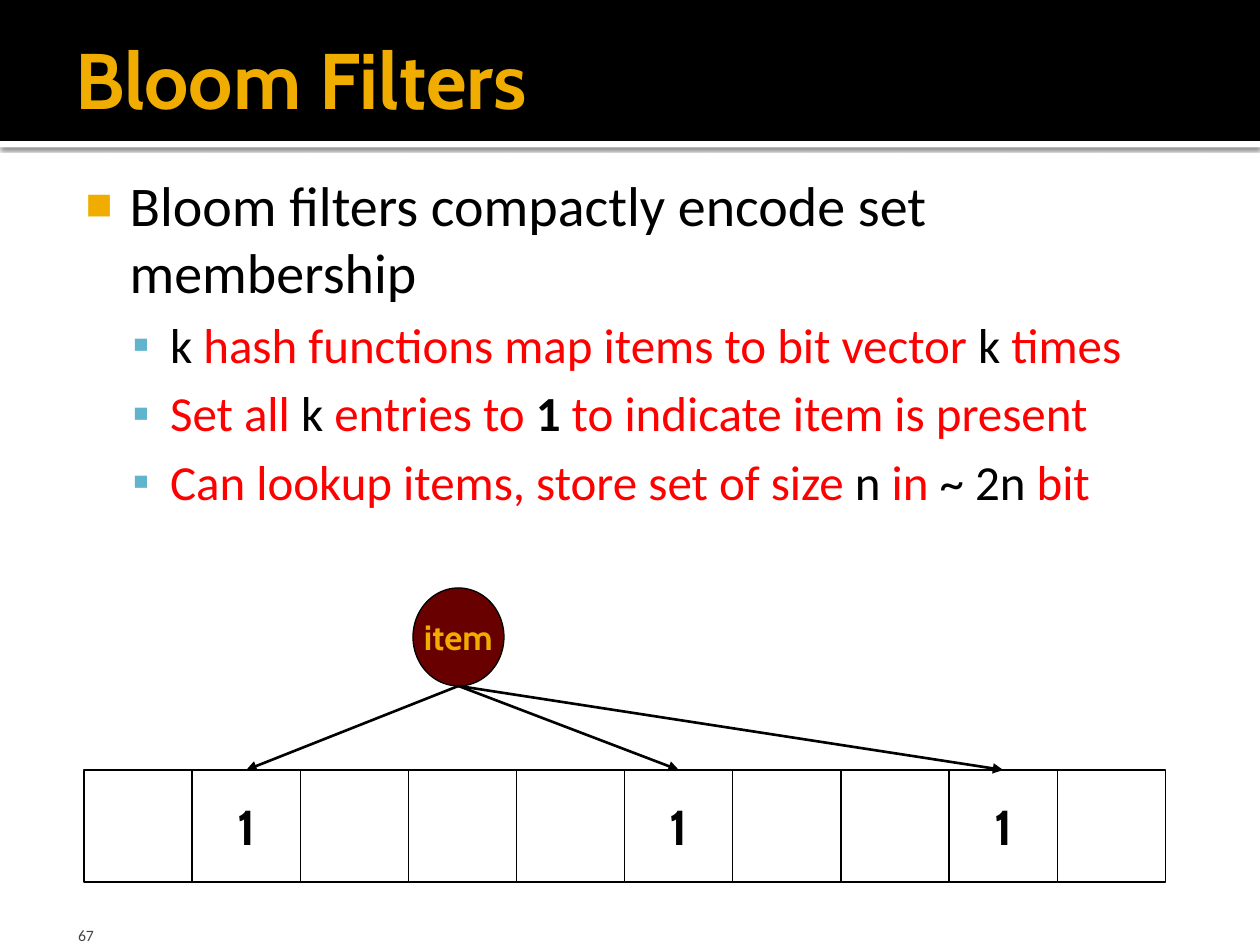
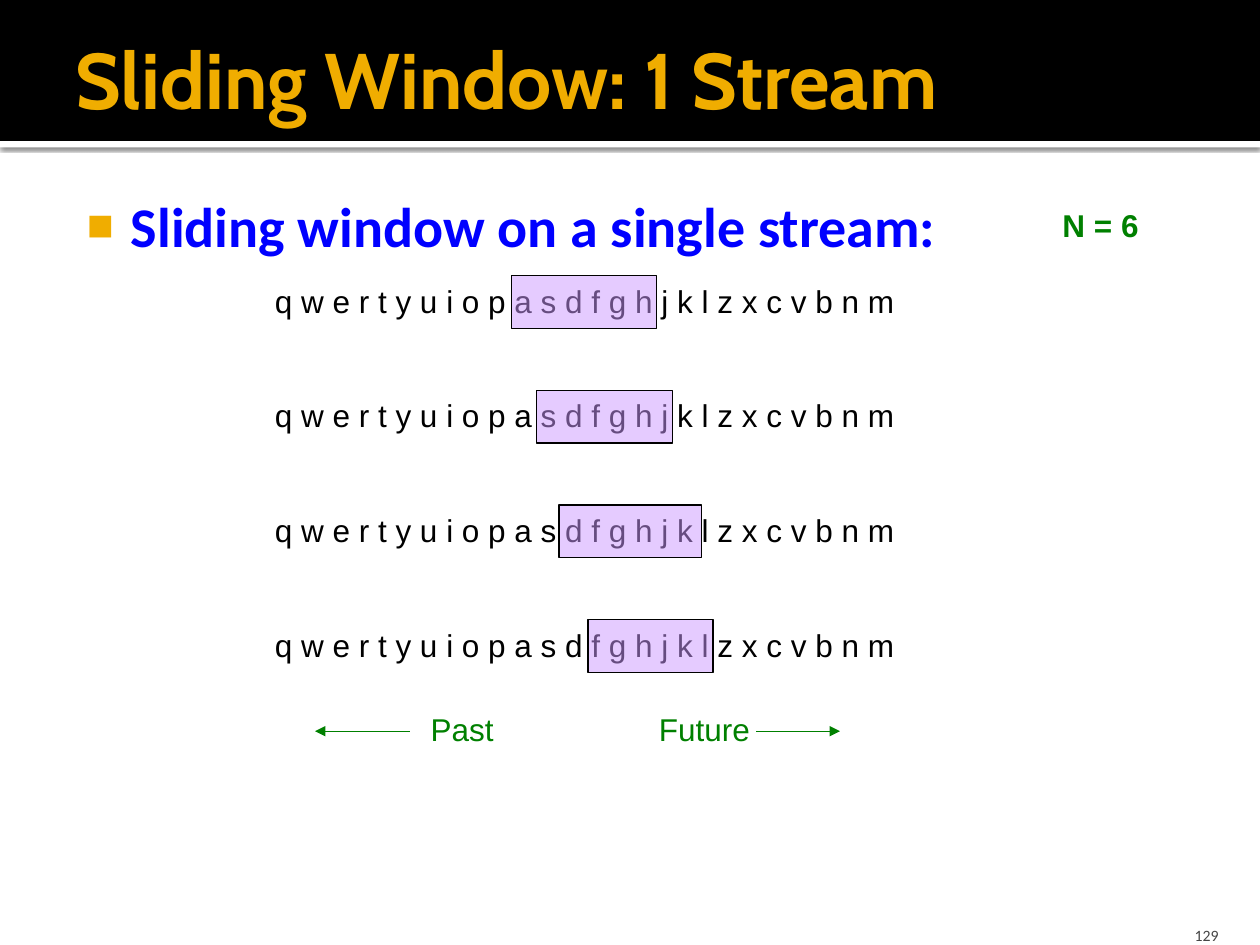
from lxml import etree
from pptx import Presentation
from pptx import util as u
from pptx.dml.color import RGBColor
from pptx.enum import shapes, text
from pptx.oxml import ns

Pt = u.Pt
W, H = 720, 540
BLACK = RGBColor(0, 0, 0)
WHITE = RGBColor(255, 255, 255)
GOLD = RGBColor(0xF0, 0xAD, 0x00)
TEAL = RGBColor(0x60, 0xB5, 0xCC)
RED = RGBColor(255, 0, 0)
BLUE = RGBColor(0, 0, 255)
GREEN = RGBColor(0, 0x80, 0)
MAROON = RGBColor(0x68, 0, 0)
LILAC = RGBColor(0xCC, 0x99, 0xFF)
GREY = RGBColor(0x45, 0x45, 0x45)

TITLE = dict(name="Cabin", size=Pt(45), bold=True, color=GOLD)
FOOTER = dict(name="Calibri", size=Pt(9), color=GREY)
BODY = dict(name="Calibri", size=Pt(32), color=BLACK)
SUB = dict(name="Calibri", size=Pt(28), color=RED)
TERM = dict(SUB, color=BLACK)
ITEM = dict(name="Cabin", size=Pt(20), bold=True, color=GOLD)
BIT = dict(name="Cabin", size=Pt(28), bold=True, color=BLACK)
STREAM = dict(name="Arial", size=Pt(18), color=BLACK)
NOTE = dict(STREAM, color=GREEN)

# left indent, hanging indent, space before, bullet, bullet colour, bullet size
LEVELS = [(34.5, -25.2, 0, "■", GOLD, 80), (57.6, -21.6, 5.6, "▪", TEAL, 100)]
LETTERS = " ".join("qwertyuiopasdfghjklzxcvbnm")


def sub(parent, tag, **attrs):
    el = etree.SubElement(parent, ns.qn(tag))
    for key, value in attrs.items():
        el.set(key, str(value))
    return el


def add_run(p, words, style):
    r = p.add_run()
    r.text = words
    for key, value in style.items():
        if key == "color":
            r.font.color.rgb = value
        else:
            setattr(r.font, key, value)


def format_frame(tf, insets=(7.2, 3.6, 7.2, 3.6), **formats):
    for side, inset in zip(("left", "top", "right", "bottom"), insets):
        setattr(tf, "margin_" + side, Pt(inset))
    for key, value in formats.items():
        setattr(tf, key, value)


def add_text(s, box, words, style, align=None, **frame):
    sp = s.shapes.add_textbox(*map(Pt, box))
    tf = sp.text_frame
    format_frame(tf, **frame)
    p = tf.paragraphs[0]
    if align is not None:
        p.alignment = align
    if words:
        add_run(p, words, style)
    return tf


def add_box(s, kind, box, fill=None, line=BLACK, label="", style=None):
    sp = s.shapes.add_shape(kind, *map(Pt, box))
    sp.shadow.inherit = False
    if fill is None:
        sp.fill.background()
    else:
        sp.fill.solid()
        sp.fill.fore_color.rgb = fill
    if line is None:
        sp.line.fill.background()
    else:
        sp.line.color.rgb = line
        sp.line.width = Pt(0.75)
    if label:
        tf = sp.text_frame
        format_frame(tf, word_wrap=False, vertical_anchor=text.MSO_ANCHOR.MIDDLE)
        tf.paragraphs[0].alignment = text.PP_ALIGN.CENTER
        add_run(tf.paragraphs[0], label, style)
    return sp


def add_arrow(s, start, end, color, width):
    c = s.shapes.add_connector(shapes.MSO_CONNECTOR.STRAIGHT, *map(Pt, start + end))
    c.line.color.rgb = color
    c.line.width = Pt(width)
    sub(c.line._get_or_add_ln(), "a:tailEnd", type="triangle")
    sub(c._element.spPr, "a:effectLst")
    return c


def add_header(s, title):
    """Black band with a shadowed white strip under it, and the title."""
    strip = add_box(s, shapes.MSO_SHAPE.RECTANGLE, (0, 80.6, W, 3.6), WHITE, None)
    effects = strip._element.spPr.find(ns.qn("a:effectLst"))
    shadow = sub(effects, "a:outerShdw", blurRad=Pt(2.5), dist=Pt(0.8),
                 dir=5400000, algn="tl", rotWithShape=0)
    sub(sub(shadow, "a:srgbClr", val=BLACK), "a:alpha", val=60000)
    add_box(s, shapes.MSO_SHAPE.RECTANGLE, (0, 0, W, 80.6), BLACK, None)
    add_text(s, (36, 5.8, 648, 77.8), title, TITLE, insets=(7.2, 3.6, 3.6, 3.6),
             word_wrap=True, vertical_anchor=text.MSO_ANCHOR.MIDDLE)


def add_number(s, box, number, align, insets):
    add_text(s, box, number, FOOTER, align, insets=insets, word_wrap=True,
             vertical_anchor=text.MSO_ANCHOR.BOTTOM)


def add_bullets(s, box, items):
    """Each item is a level and its (words, style) runs."""
    tf = add_text(s, box, "", BODY, insets=(4.3, 7.2, 7.2, 3.6), word_wrap=True)
    for i, (level, runs) in enumerate(items):
        p = tf.add_paragraph() if i else tf.paragraphs[0]
        left, hang, before, char, color, size = LEVELS[level]
        pPr = p._p.get_or_add_pPr()
        pPr.set("marL", str(Pt(left)))
        pPr.set("indent", str(Pt(hang)))
        sub(sub(pPr, "a:buClr"), "a:srgbClr", val=color)
        sub(pPr, "a:buSzPct", val=size * 1000)
        sub(pPr, "a:buFont", typeface="Arial")
        sub(pPr, "a:buChar", char=char)
        p.level = level
        p.space_before = Pt(before)
        for words, style in runs:
            add_run(p, words, style)


def add_bit_vector(s, box, set_bits, size=10):
    """An item above a row of bits, with an arrow to each bit it sets."""
    x, y, w, h = box
    row_h, d_w, d_h = 64, 52, 56
    row_y, cell_w, item_x = y + h - row_h, w / size, x + 188
    add_box(s, shapes.MSO_SHAPE.OVAL, (item_x, y, d_w, d_h), MAROON,
            label="item", style=ITEM)
    cells = [add_box(s, shapes.MSO_SHAPE.RECTANGLE,
                     (x + i * cell_w, row_y, cell_w, row_h),
                     label="1" if i in set_bits else "", style=BIT)
             for i in range(size)]
    for i in set_bits:
        arrow = add_arrow(s, (item_x + d_w / 2, y + d_h),
                          (x + (i + 0.5) * cell_w, row_y), BLACK, 1.5)
        arrow.end_connect(cells[i], 0)


def add_streams(s, box, windows, pitch=65.5):
    """One row of letters per window; a window is its offset and width."""
    x, y, w, h = box
    for i, (offset, width) in enumerate(windows):
        top = y + i * pitch
        add_text(s, (x, top, w, h), LETTERS, STREAM, word_wrap=False)
        sp = add_box(s, shapes.MSO_SHAPE.RECTANGLE, (x + offset, top, width, 30.2), LILAC)
        fill = sp._element.spPr.find(ns.qn("a:solidFill"))
        sub(fill[0], "a:alpha", val=50000)


def add_time_axis(s, box):
    x, y, w, h = box
    tf = add_text(s, (x + 59, y, 200, h), "", NOTE, word_wrap=True)
    p = tf.paragraphs[0]
    tabs = sub(p._p.get_or_add_pPr(), "a:tabLst")
    sub(tabs, "a:tab", pos=Pt(130.5), algn="l")
    add_run(p, "Past\tFuture", NOTE)
    mid = y + 15.8
    add_arrow(s, (x + 54, mid), (x, mid), GREEN, 0.75)
    add_arrow(s, (x + w - 48, mid), (x + w, mid), GREEN, 0.75)


def bloom_slide(s):
    add_header(s, "Bloom Filters")
    add_number(s, (36, 518.4, 168, 21.6), "67", text.PP_ALIGN.LEFT, (8.6, 3.6, 3.6, 0))
    add_bullets(s, (35.3, 90, 648, 222), [
        (0, [("Bloom filters compactly encode set membership", BODY)]),
        (1, [("k", TERM), (" hash functions map items to bit vector ", SUB),
             ("k", TERM), (" times", SUB)]),
        (1, [("Set all ", SUB), ("k", TERM), (" entries to ", SUB),
             ("1", dict(TERM, bold=True)), (" to indicate item is present", SUB)]),
        (1, [("Can lookup items, store set of size ", SUB), ("n", TERM),
             (" in ", SUB), ("~ 2n ", TERM), ("bit", SUB)]),
    ])
    add_bit_vector(s, (48, 336, 618, 168), (1, 5, 8))


def window_slide(s):
    add_header(s, "Sliding Window: 1 Stream")
    add_bullets(s, (36, 102, 648, 414), [
        (0, [("Sliding window on a single stream:", dict(BODY, color=BLUE, bold=True))]),
    ])
    add_streams(s, (150, 157.5, 384.5, 29),
                [(142.3, 83), (156.5, 78), (169.5, 81.5), (186, 71.5)])
    add_time_axis(s, (180, 402, 300, 29))
    add_text(s, (600, 114, 58.3, 29), "N = 6", dict(NOTE, bold=True), word_wrap=False)
    add_number(s, (645.8, 518.4, 57.6, 21.6), "129", text.PP_ALIGN.RIGHT, (7.2, 3.6, 7.2, 0))


def main():
    prs = Presentation()
    prs.slide_width, prs.slide_height = Pt(W), Pt(H)
    for build in (bloom_slide, window_slide):
        build(prs.slides.add_slide(prs.slide_layouts[6]))
    prs.save("out.pptx")


if __name__ == "__main__":
    main()
